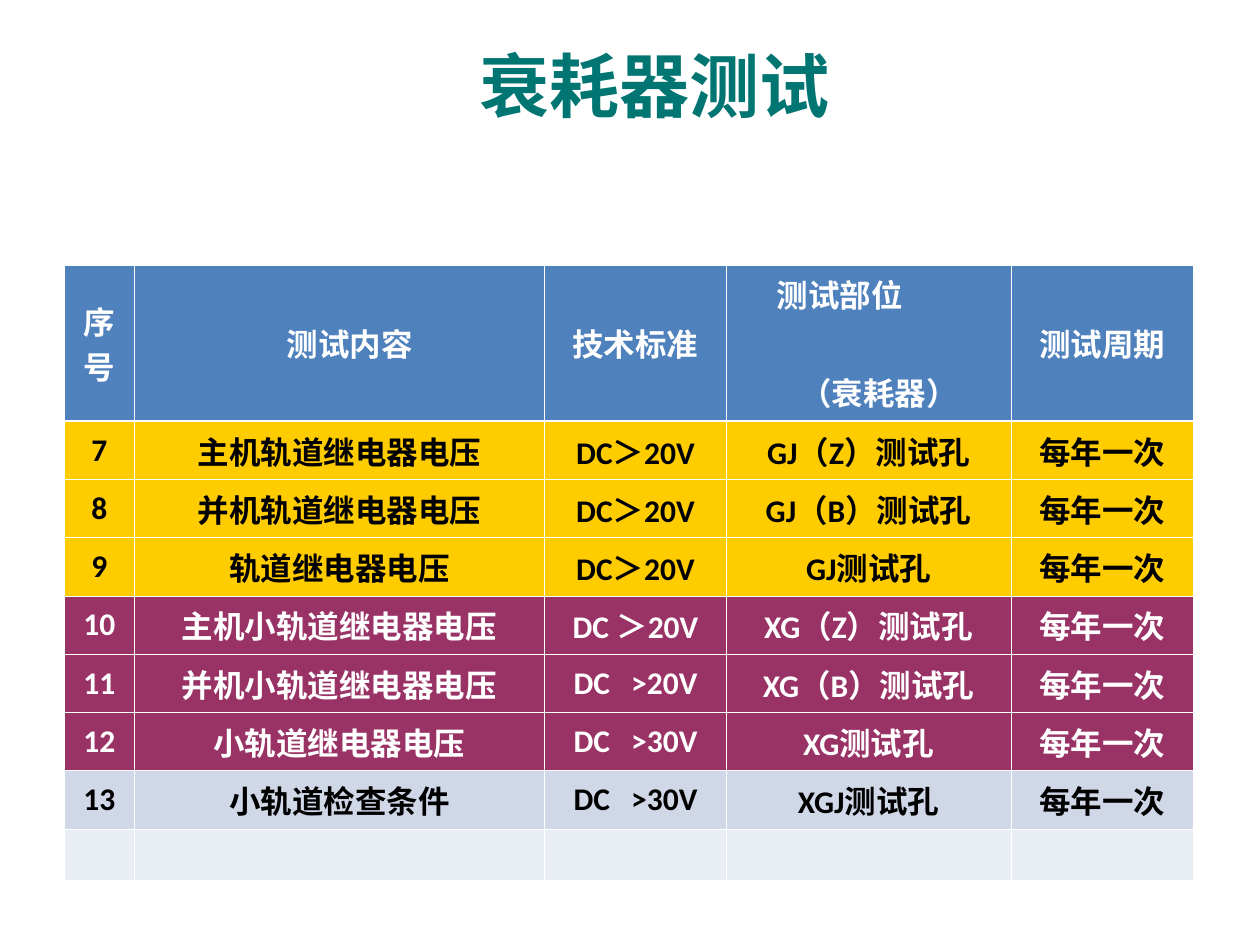
from dataclasses import dataclass

from lxml import etree
from pptx import Presentation
from pptx.dml.color import RGBColor
from pptx.enum import text
from pptx.oxml import ns
from pptx.util import Pt

COLORS = {
    "title": "007572",
    "header": "4F81BD",
    "main": "FFCC00",
    "minor": "993366",
    "check": "D0D8E8",
    "empty": "E9EDF4",
    "white": "FFFFFF",
    "black": "000000",
}
COLUMN_WIDTHS = (39.6, 234.7, 103.7, 162.7, 104.4)
HEADER_HEIGHT, ROW_HEIGHT = 77, 28.8
THIN, THICK = 0.45, 1.47
CYCLE = "每年一次"


@dataclass(frozen=True)
class TableRow:
    fill: str
    color: str
    texts: tuple[str, ...]


ROWS = (
    TableRow("header", "white", ("序号", "测试内容", "技术标准", "测试部位\n（衰耗器）", "测试周期")),
    TableRow("main", "black", ("7", "主机轨道继电器电压", "DC＞20V", "GJ（Z）测试孔", CYCLE)),
    TableRow("main", "black", ("8", "并机轨道继电器电压", "DC＞20V", "GJ（B）测试孔", CYCLE)),
    TableRow("main", "black", ("9", "轨道继电器电压", "DC＞20V", "GJ测试孔", CYCLE)),
    TableRow("minor", "white", ("10", "主机小轨道继电器电压", "DC ＞20V", "XG（Z）测试孔", CYCLE)),
    TableRow("minor", "white", ("11", "并机小轨道继电器电压", "DC >20V", "XG（B）测试孔", CYCLE)),
    TableRow("minor", "white", ("12", "小轨道继电器电压", "DC >30V", "XG测试孔", CYCLE)),
    TableRow("check", "black", ("13", "小轨道检查条件", "DC >30V", "XGJ测试孔", CYCLE)),
    TableRow("empty", "black", ("",) * len(COLUMN_WIDTHS)),
)


def rgb(name: str) -> RGBColor:
    return RGBColor.from_string(COLORS[name])


def style_font(font, name: str, size: float, color: str) -> None:
    font.name, font.size, font.bold = name, Pt(size), True
    font.color.rgb = rgb(color)


def set_borders(cell, top: float, bottom: float) -> None:
    properties = cell._tc.get_or_add_tcPr()
    for side, width in (("L", THIN), ("R", THIN), ("T", top), ("B", bottom)):
        line = etree.SubElement(properties, ns.qn(f"a:ln{side}"), w=str(Pt(width)))
        fill = etree.SubElement(line, ns.qn("a:solidFill"))
        etree.SubElement(fill, ns.qn("a:srgbClr"), val=COLORS["white"])


def set_indents(paragraph, left: float = 0, right: float = 0) -> None:
    properties = paragraph._p.get_or_add_pPr()
    properties.set("marL", str(Pt(left)))
    properties.set("marR", str(Pt(right)))


def widen_gap(paragraph) -> None:
    """Split the runs at the space and stretch it with character spacing."""
    before, _, after = paragraph.text.partition(" ")
    paragraph.text = before
    gap = paragraph.add_run()
    gap.text = " "
    gap._r.get_or_add_rPr().set("spc", "800")
    paragraph.add_run().text = after


def fill_cell(cell, row: TableRow, content: str) -> None:
    cell.fill.solid()
    cell.fill.fore_color.rgb = rgb(row.fill)
    cell.vertical_anchor = text.MSO_ANCHOR.MIDDLE
    cell.text_frame.text = content
    for paragraph in cell.text_frame.paragraphs:
        paragraph.alignment = text.PP_ALIGN.CENTER
        if " >" in paragraph.text:
            widen_gap(paragraph)
        for run in paragraph.runs:
            style_font(run.font, "Calibri", 18, row.color)


def add_title(slide) -> None:
    title = slide.shapes.title
    title.left, title.top, title.width, title.height = Pt(167), Pt(20), Pt(414), Pt(57)
    frame = title.text_frame
    frame.text = "衰耗器测试"
    frame.auto_size = text.MSO_AUTO_SIZE.NONE
    frame.vertical_anchor = text.MSO_ANCHOR.MIDDLE
    frame.paragraphs[0].alignment = text.PP_ALIGN.CENTER
    style_font(frame.paragraphs[0].runs[0].font, "Arial", 40, "title")


def add_test_table(slide) -> None:
    table = slide.shapes.add_table(
        len(ROWS), len(COLUMN_WIDTHS), Pt(37), Pt(151.4), Pt(645.1), Pt(292.3)
    ).table
    table.horz_banding = False
    for column, width in zip(table.columns, COLUMN_WIDTHS):
        column.width = Pt(width)
    for index, row in enumerate(ROWS):
        table.rows[index].height = Pt(ROW_HEIGHT if index else HEADER_HEIGHT)
        for cell, content in zip(table.rows[index].cells, row.texts):
            set_borders(cell, THICK if index == 1 else THIN, THIN if index else THICK)
            fill_cell(cell, row, content)

    set_indents(table.cell(0, 1).text_frame.paragraphs[0], left=12)
    place, device = table.cell(0, 3).text_frame.paragraphs
    set_indents(place, right=33)
    set_indents(device, left=12)
    device.space_before = Pt(30)


def main() -> None:
    presentation = Presentation()
    presentation.slide_width, presentation.slide_height = Pt(720), Pt(540)
    slide = presentation.slides.add_slide(presentation.slide_layouts[5])
    add_title(slide)
    add_test_table(slide)
    presentation.save("out.pptx")


if __name__ == "__main__":
    main()
